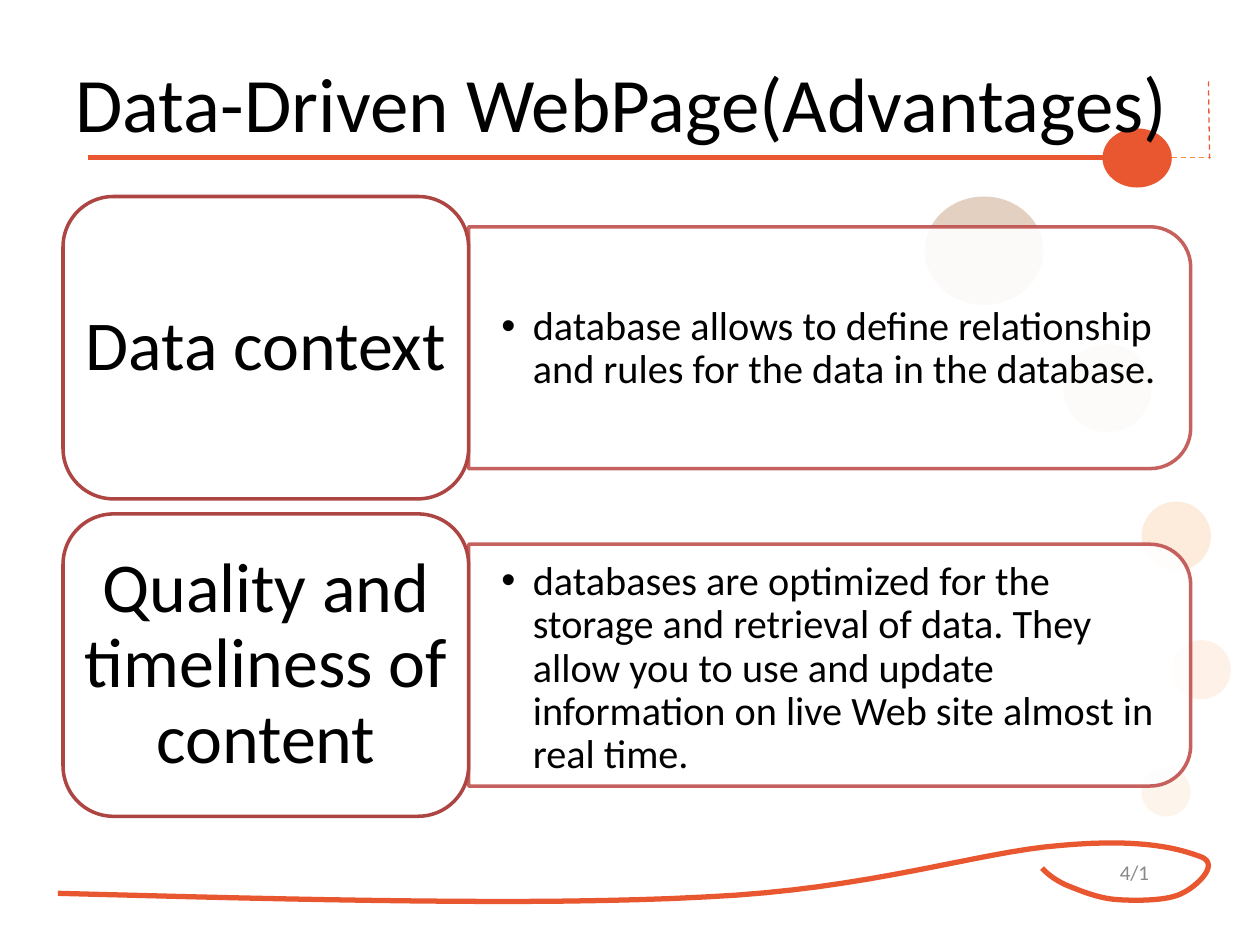
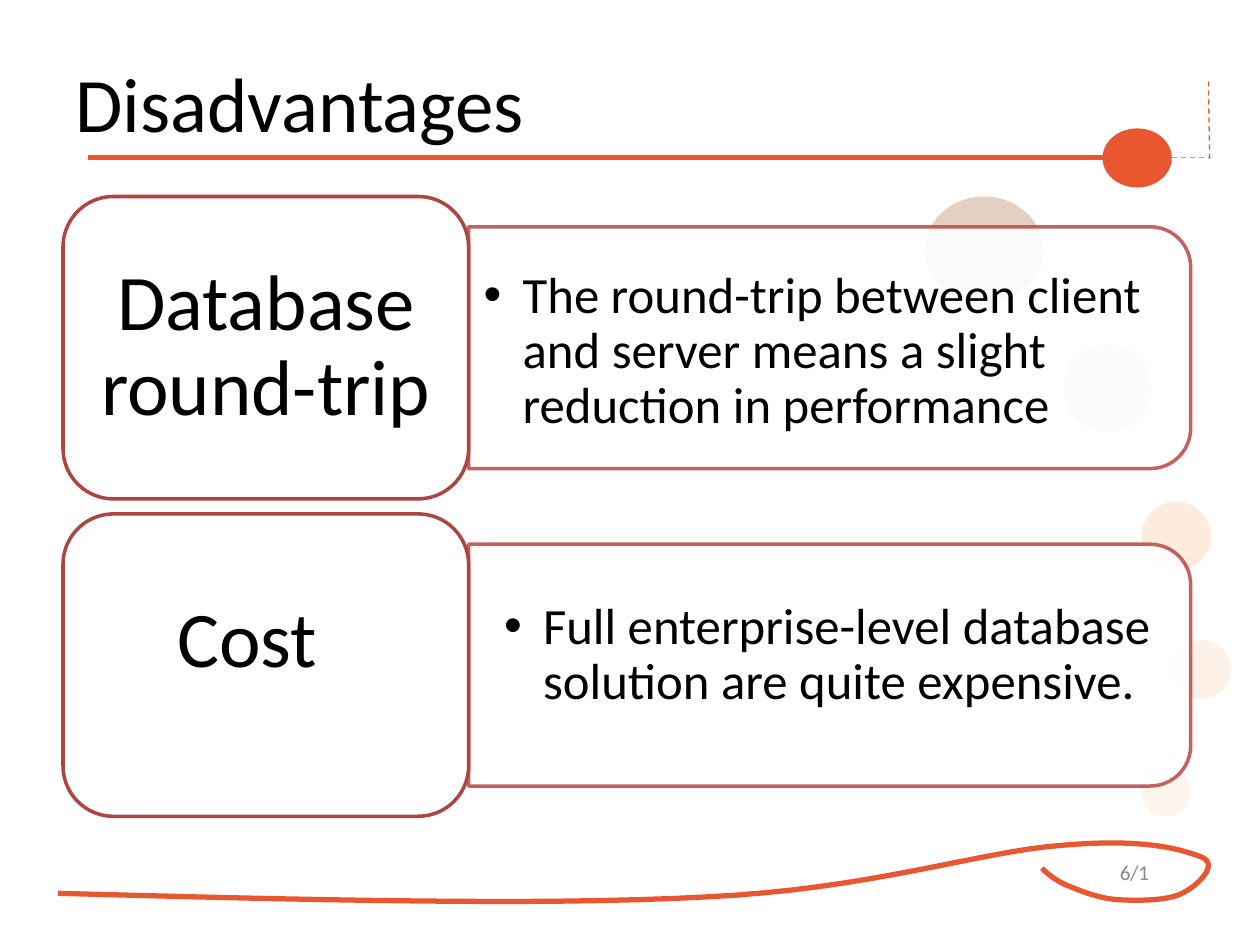
from lxml import etree
from pptx import Presentation
from pptx.dml.color import RGBColor
from pptx.enum.dml import MSO_LINE
from pptx.enum.shapes import MSO_CONNECTOR, MSO_SHAPE
from pptx.enum.text import MSO_ANCHOR, PP_ALIGN
from pptx.oxml.ns import qn
from pptx.util import Pt

LEFT, CENTER = PP_ALIGN.LEFT, PP_ALIGN.CENTER
MIDDLE = MSO_ANCHOR.MIDDLE
DASH = MSO_LINE.DASH
STRAIGHT = MSO_CONNECTOR.STRAIGHT
ELLIPSE = MSO_SHAPE.OVAL
CARD = MSO_SHAPE.ROUNDED_RECTANGLE
PANEL = MSO_SHAPE.ROUND_2_SAME_RECTANGLE

FONT = "Calibri"
COLORS = {
    "text": "000000", "muted": "888888", "white": "FFFFFF",
    "accent": "E85730", "dash": "F6903C",
    "card": "AD4643", "panel": "BF504D",
    "brown": "904406", "rust": "C85F08", "orange": "F57B17",
    "amber": "F67B16", "peach": "F59545",
}

BUBBLES = [
    (528.5, 112.3, 67.7, 61.9, "brown", 25),
    (607.7, 196.6, 50.4, 50.4, "rust", 20),
    (652.3, 286.6, 39.6, 39.6, "orange", 15),
    (669.6, 365.8, 33.8, 33.8, "amber", 10),
    (652.3, 438.5, 28.1, 28.1, "peach", 10),
]

SWOOSH_START = (33.1, 510.5)
SWOOSH = [
    [(169.9, 514.1), (306.7, 517.7), (402.5, 512.6)],
    [(497.5, 508.3), (558.7, 486.7), (606.2, 483.1)],
    [(653.8, 478.8), (674.6, 485.3), (686.2, 489.6)],
    [(697.7, 493.9), (683.3, 506.9), (675.4, 510.5)],
    [(667.4, 514.8), (649.4, 514.8), (638.6, 514.1)],
    [(627.1, 513.4), (615.6, 508.3), (608.4, 505.4)],
    [(601.2, 501.8), (598.3, 499), (595.4, 496.1)],
]
CURVE_STEPS = 16

CARD_X, CARD_Y, CARD_W, CARD_H = 36, 112.3, 231.8, 172.8
ROW_PITCH = 181.4
PANEL_W, PANEL_H = 412.6, 138.2
CORNER = 0.167

SLIDES = [
    {
        "title": "Data-Driven WebPage(Advantages)", "number": "4/1",
        "label_size": 40, "label_inset": (12.2, 5.8),
        "body_size": 23, "body_inset": (7.2, 3.6), "indent": 18,
        "rows": [
            ("Data context", (0, 0),
             "database allows to define relationship and rules for the data "
             "in the database.", (279.4, 142.6, 401.8, 113.8)),
            ("Quality and timeliness of content", (0, 0),
             "databases are optimized for the storage and retrieval of data. "
             "They allow you to use and update information on live Web site "
             "almost in real time.", (279.4, 295.9, 393.1, 172.8)),
        ],
    },
    {
        "title": "Disadvantages", "number": "6/1",
        "label_size": 45, "label_inset": (13.7, 6.5),
        "body_size": 29, "body_inset": (8.6, 4.3), "indent": 22.3,
        "rows": [
            ("Database round-trip", (0, 0),
             "The round-trip between client and server means a slight "
             "reduction in performance", (267.8, 121.7, 412.6, 159.1)),
            ("Cost", (-10.8, -13),
             "Full enterprise-level database solution are quite expensive.",
             (279.4, 290.2, 424.1, 168.5)),
        ],
    },
]


def rgb(name):
    return RGBColor.from_string(COLORS[name])


def set_alpha(parent, percent):
    clr = parent.find(".//" + qn("a:srgbClr"))
    etree.SubElement(clr, qn("a:alpha")).set("val", str(percent * 1000))


def bezier(p0, p1, p2, p3):
    for i in range(1, CURVE_STEPS + 1):
        t = i / CURVE_STEPS
        u = 1 - t
        yield tuple(u**3 * a + 3 * u**2 * t * b + 3 * u * t**2 * c + t**3 * d
                    for a, b, c, d in zip(p0, p1, p2, p3))


class Deck:
    def __init__(self):
        self.prs = Presentation()
        self.prs.slide_width, self.prs.slide_height = Pt(720), Pt(540)
        self.s = None

    def new_slide(self):
        self.s = self.prs.slides.add_slide(self.prs.slide_layouts[6])

    def shape(self, kind, x, y, w, h, fill, line=None, alpha=100):
        sp = self.s.shapes.add_shape(kind, Pt(x), Pt(y), Pt(w), Pt(h))
        sp.shadow.inherit = False
        sp.fill.solid()
        sp.fill.fore_color.rgb = rgb(fill)
        if alpha < 100:
            set_alpha(sp._element.spPr.find(qn("a:solidFill")), alpha)
        if line:
            sp.line.color.rgb = rgb(line)
            sp.line.width = Pt(2)
            if alpha < 100:
                set_alpha(sp._element.spPr.find(qn("a:ln")), alpha)
        else:
            sp.line.fill.background()
        return sp

    def line(self, x1, y1, x2, y2, color, width, dash=None):
        c = self.s.shapes.add_connector(STRAIGHT, Pt(x1), Pt(y1), Pt(x2), Pt(y2))
        c.line.color.rgb = rgb(color)
        c.line.width = Pt(width)
        if dash:
            c.line.dash_style = dash
        etree.SubElement(c._element.spPr, qn("a:effectLst"))

    def curve(self, start, segments, color, width):
        fb = self.s.shapes.build_freeform(Pt(start[0]), Pt(start[1]))
        points = []
        for segment in segments:
            points += bezier(start, *segment)
            start = segment[-1]
        fb.add_line_segments([(Pt(x), Pt(y)) for x, y in points], close=False)
        sp = fb.convert_to_shape()
        sp.shadow.inherit = False
        sp.fill.background()
        sp.line.color.rgb = rgb(color)
        sp.line.width = Pt(width)

    def text(self, x, y, w, h, text, size, color="text", align=LEFT,
             inset=(7.2, 3.6), spacing=None, indent=None):
        tf = self.s.shapes.add_textbox(Pt(x), Pt(y), Pt(w), Pt(h)).text_frame
        tf.word_wrap = True
        tf.vertical_anchor = MIDDLE
        tf.margin_left = tf.margin_right = Pt(inset[0])
        tf.margin_top = tf.margin_bottom = Pt(inset[1])
        p = tf.paragraphs[0]
        p.alignment = align
        if spacing:
            p.line_spacing = spacing
        if indent:
            self.bullet(p, indent)
        r = p.add_run()
        r.text = text
        r.font.name = FONT
        r.font.size = Pt(size)
        r.font.color.rgb = rgb(color)

    def bullet(self, p, indent):
        pPr = p._p.get_or_add_pPr()
        pPr.set("marL", str(Pt(indent)))
        pPr.set("indent", str(-Pt(indent)))
        clr = etree.SubElement(pPr, qn("a:buClr"))
        etree.SubElement(clr, qn("a:srgbClr")).set("val", COLORS["text"])
        etree.SubElement(pPr, qn("a:buFont")).set("typeface", "Arial")
        etree.SubElement(pPr, qn("a:buChar")).set("char", "•")

    def frame(self, title, number):
        self.text(624.2, 483.8, 48.2, 28.8, number, 12, "muted", CENTER)
        self.curve(SWOOSH_START, SWOOSH, "accent", 3)
        self.line(50.4, 90, 630, 90, "accent", 3)
        for x, y, w, h, color, alpha in BUBBLES:
            self.shape(ELLIPSE, x, y, w, h, color, alpha=alpha)
        self.shape(ELLIPSE, 630, 73.4, 39.6, 33.8, "accent")
        self.line(669.6, 90, 691.9, 90, "dash", 0.75, DASH)
        self.line(691.2, 90.7, 690.5, 44.6, "accent", 0.75, DASH)
        self.text(36, 14.4, 653.8, 87.1, title, 44)

    def panel(self, x, y, w, h):
        sp = self.shape(PANEL, x + (w - h) / 2, y + (h - w) / 2, h, w,
                        "white", "panel", 90)
        sp.rotation = 90
        sp.adjustments[0], sp.adjustments[1] = CORNER, 0

    def row(self, index, content, style):
        label, (dx, dy), body, body_box = content
        y = CARD_Y + index * ROW_PITCH
        self.panel(CARD_X + CARD_W, y + (CARD_H - PANEL_H) / 2, PANEL_W, PANEL_H)
        self.text(*body_box, body, style["body_size"],
                  inset=style["body_inset"], spacing=0.9, indent=style["indent"])
        sp = self.shape(CARD, CARD_X, y, CARD_W, CARD_H, "white", "card")
        sp.adjustments[0] = CORNER
        self.text(CARD_X + dx, y + dy, CARD_W, CARD_H, label,
                  style["label_size"], align=CENTER,
                  inset=style["label_inset"], spacing=0.9)


def main():
    deck = Deck()
    for content in SLIDES:
        deck.new_slide()
        deck.frame(content["title"], content["number"])
        for i, row in enumerate(content["rows"]):
            deck.row(i, row, content)
    deck.prs.save("out.pptx")


if __name__ == "__main__":
    main()
